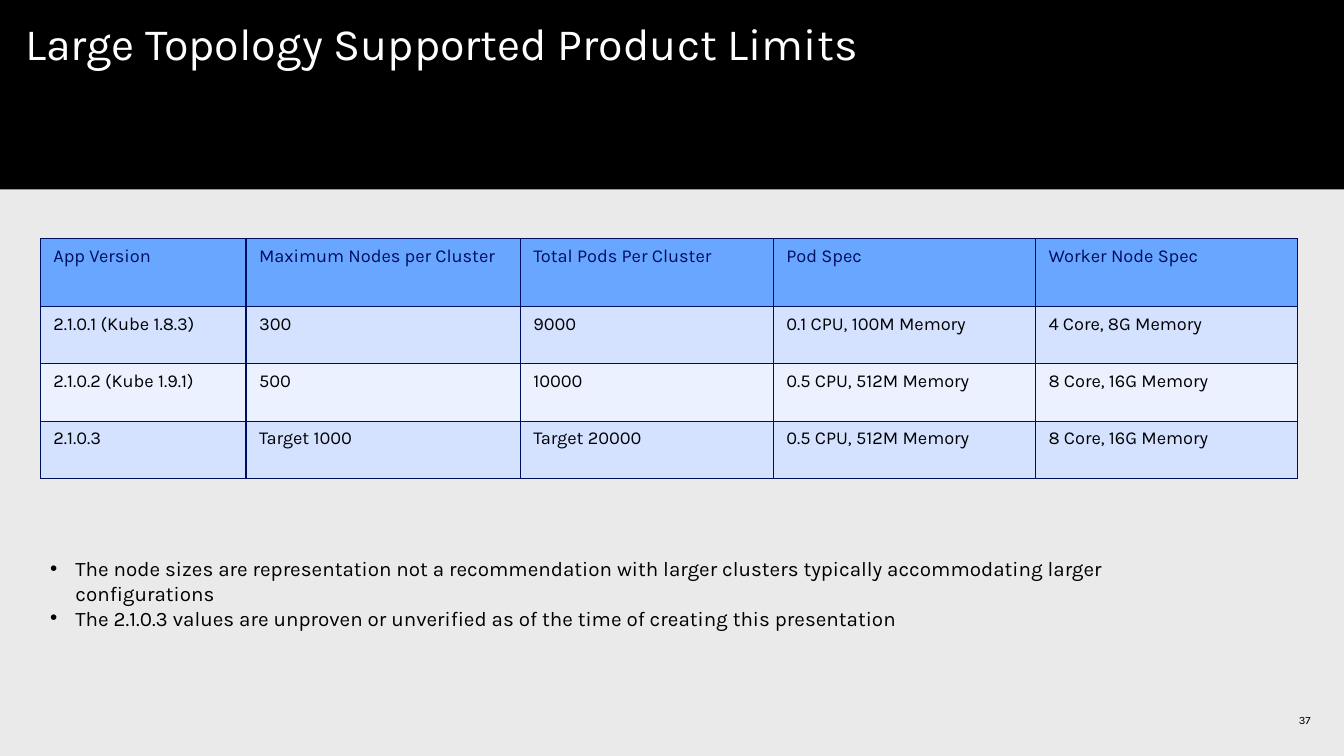
import pptx
import pptx.util
import pptx.dml.color
import pptx.enum.shapes
import pptx.enum.text
import pptx.oxml
import pptx.oxml.ns

Inches, Pt = pptx.util.Inches, pptx.util.Pt
RGBColor = pptx.dml.color.RGBColor
Align, Anchor = pptx.enum.text.PP_ALIGN, pptx.enum.text.MSO_ANCHOR

# Content
TITLE = "Large Topology Supported Product Limits"
LIMITS = [
    ("App Version", "Maximum Nodes per Cluster", "Total Pods Per Cluster", "Pod Spec", "Worker Node Spec"),
    ("2.1.0.1 (Kube 1.8.3)", "300", "9000", "0.1 CPU, 100M Memory", "4 Core, 8G Memory"),
    ("2.1.0.2 (Kube 1.9.1)", "500", "10000", "0.5 CPU, 512M Memory", "8 Core, 16G Memory"),
    ("2.1.0.3", "Target 1000", "Target 20000", "0.5 CPU, 512M Memory", "8 Core, 16G Memory"),
]
NOTES = [
    "The node sizes are representation not a recommendation with larger clusters"
    " typically accommodating larger configurations",
    "The 2.1.0.3 values are unproven or unverified as of the time of creating this presentation",
]
PAGE_NUMBER = "37"

# Format
BLACK = RGBColor(0x00, 0x00, 0x00)
WHITE = RGBColor(0xFF, 0xFF, 0xFF)
GREY = RGBColor(0xEA, 0xEA, 0xEA)
NAVY = RGBColor(0x00, 0x0E, 0x5E)
HEADER_BLUE = RGBColor(0x69, 0xA6, 0xFF)
BAND_BLUES = (RGBColor(0xEB, 0xF1, 0xFF), RGBColor(0xD4, 0xE1, 0xFF))
FONT = "Karla"
COLUMN_WIDTHS = (2.04, 2.72, 2.51, 2.6, 2.6)
HEADER_HEIGHT, ROW_HEIGHT = 0.67, 0.57


def set_all(target, values):
    for name, value in values.items():
        setattr(target, name, value)


def margins(left, top, right, bottom):
    return {"margin_left": Inches(left), "margin_top": Inches(top),
            "margin_right": Inches(right), "margin_bottom": Inches(bottom)}


def style(para, size, color, **layout):
    set_all(para, layout)
    set_all(para.font, {"name": FONT, "size": Pt(size)})
    para.font.color.rgb = color


def add_bullet(para):
    properties = para._p.get_or_add_pPr()
    properties.set("marL", str(Inches(0.25)))
    properties.set("indent", str(-Inches(0.25)))
    for tag, name, value in (("buFont", "typeface", "Arial"), ("buChar", "char", "•")):
        bullet = pptx.oxml.parse_xml(f'<a:{tag} {pptx.oxml.ns.nsdecls("a")} {name}="{value}"/>')
        properties.append(bullet)


def add_borders(cell):
    for side in "LRTB":
        cell._tc.get_or_add_tcPr().append(pptx.oxml.parse_xml(
            f'<a:ln{side} {pptx.oxml.ns.nsdecls("a")} w="{Pt(1)}">'
            f'<a:solidFill><a:srgbClr val="{NAVY}"/></a:solidFill></a:ln{side}>'))


deck = pptx.Presentation()
set_all(deck, {"slide_width": Inches(13.33), "slide_height": Inches(7.5)})
page = deck.slides.add_slide(deck.slide_layouts[6])
page.background.fill.solid()
page.background.fill.fore_color.rgb = GREY

# Title band
band = page.shapes.add_shape(pptx.enum.shapes.MSO_SHAPE.RECTANGLE, 0, 0, deck.slide_width, Inches(1.88))
band.shadow.inherit = False
band.fill.solid()
band.fill.fore_color.rgb = BLACK
band.line.fill.background()
set_all(band.text_frame, {"text": TITLE, "word_wrap": True, "vertical_anchor": Anchor.TOP,
                          **margins(0.25, 0.22, 0.25, 0.25)})
style(band.text_frame.paragraphs[0], 32, WHITE, alignment=Align.LEFT, line_spacing=0.9)

# Limits table
table = page.shapes.add_table(
    len(LIMITS), len(COLUMN_WIDTHS), Inches(0.4), Inches(2.37), Inches(sum(COLUMN_WIDTHS)),
    Inches(HEADER_HEIGHT + ROW_HEIGHT * (len(LIMITS) - 1))).table
for column, width in zip(table.columns, COLUMN_WIDTHS):
    column.width = Inches(width)
for r, texts in enumerate(LIMITS):
    table.rows[r].height = Inches(ROW_HEIGHT if r else HEADER_HEIGHT)
    for c, text in enumerate(texts):
        cell = table.cell(r, c)
        set_all(cell, {"text": text, **margins(0.13, 0.07, 0.13, 0.07)})
        add_borders(cell)
        cell.fill.solid()
        cell.fill.fore_color.rgb = BAND_BLUES[r % 2] if r else HEADER_BLUE
        style(cell.text_frame.paragraphs[0], 13, BLACK if r else NAVY)
        cell.text_frame.paragraphs[0].font.bold = False

# Notes below the table
box = page.shapes.add_textbox(Inches(0.4), Inches(5.03), Inches(12.03), Inches(1.71))
set_all(box.text_frame, {"text": "\n".join(NOTES), "word_wrap": True, "vertical_anchor": Anchor.MIDDLE})
for para in box.text_frame.paragraphs:
    add_bullet(para)
    style(para, 14.7, BLACK)

# Page number
box = page.shapes.add_textbox(Inches(10), Inches(7.04), Inches(3), Inches(0.2))
set_all(box.text_frame, {"text": PAGE_NUMBER, "word_wrap": True, "vertical_anchor": Anchor.MIDDLE,
                         **margins(0, 0, 0, 0)})
style(box.text_frame.paragraphs[0], 8, BLACK, alignment=Align.RIGHT)

deck.save("out.pptx")
